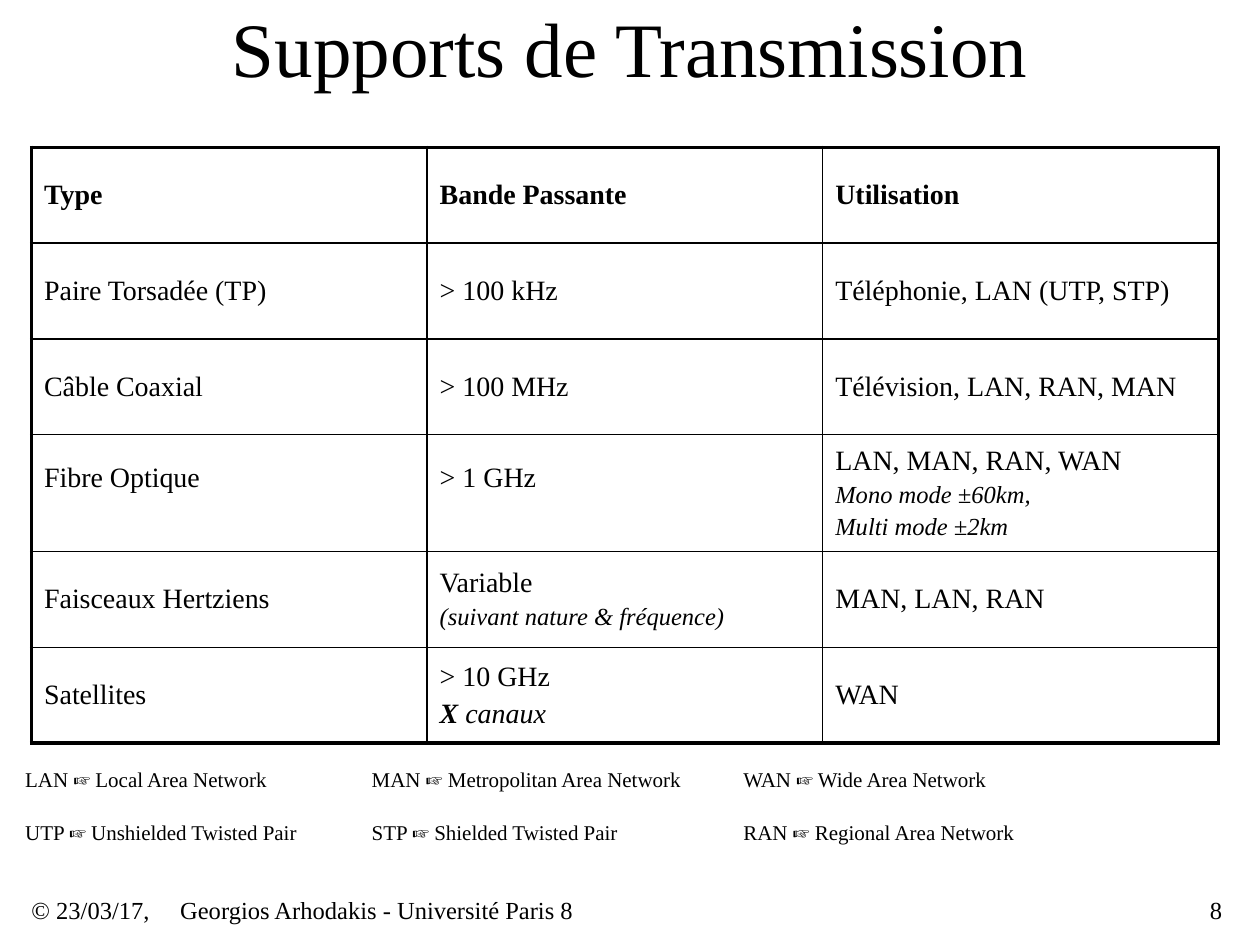
from itertools import product

from lxml.etree import SubElement
from pptx import Presentation
from pptx.dml.color import RGBColor
from pptx.enum.text import MSO_ANCHOR as Anchor, MSO_AUTO_SIZE as AutoSize, PP_ALIGN as Align
from pptx.oxml.ns import qn
from pptx.util import Inches, Pt

WIDTH, HEIGHT = Inches(10), Inches(7.5)
FONT = "Times New Roman"
BLACK = "000000"
THIN, THICK = 1, 2.25
SMALL = {"size": 14, "italic": True}

MEDIA = [
    ["Type", "Bande Passante", "Utilisation"],
    ["Paire Torsadée (TP)", "> 100 kHz", "Téléphonie, LAN (UTP, STP)"],
    ["Câble Coaxial", "> 100 MHz", "Télévision, LAN, RAN, MAN"],
    ["Fibre Optique", "> 1 GHz",
     [[("LAN, MAN, RAN, WAN", {})],
      [("Mono mode ±60km,", SMALL)],
      [("Multi mode ±2km", SMALL)]]],
    ["Faisceaux Hertziens",
     [[("Variable", {})], [("(suivant nature & fréquence)", SMALL)]],
     "MAN, LAN, RAN"],
    ["Satellites",
     [[("> 10 GHz", {})],
      [("X", {"bold": True, "italic": True}), (" canaux", {"italic": True})]],
     "WAN"],
]
FIBRE_ROW = 3

LEGEND = [
    [("LAN", "Local Area Network", 19.7), ("MAN", "Metropolitan Area Network", 24.8),
     ("WAN", "Wide Area Network", 19.7)],
    [("UTP", "Unshielded Twisted Pair", 22), ("STP", "Shielded Twisted Pair", 20.1),
     ("RAN", "Regional Area Network", 22)],
]
LEGEND_COLUMNS = [2, 29.5, 59]
LEGEND_ROWS = [81.07, 86.67]


def color(value):
    return RGBColor.from_string(value)


def across(percent):
    return int(WIDTH * percent / 100)


def down(percent):
    return int(HEIGHT * percent / 100)


def place(left, top, width, height):
    return across(left), down(top), across(width), down(height)


def add_span(para, text, size=16, bold=False, italic=False):
    span = para.add_run()
    span.text = text
    font = span.font
    font.name, font.size = FONT, Pt(size)
    font.bold, font.italic = bold, italic
    font.color.rgb = color(BLACK)


def set_margins(target, side, edge):
    target.margin_left = target.margin_right = Inches(side)
    target.margin_top = target.margin_bottom = Inches(edge)


def add_title(page, text):
    title = page.shapes.title
    title.left, title.top, title.width, title.height = place(0, 0, 100, 9.87)
    frame = title.text_frame
    frame.auto_size = AutoSize.NONE
    frame.vertical_anchor = Anchor.MIDDLE
    set_margins(frame, 0, 0)
    para = frame.paragraphs[0]
    para.alignment = Align.CENTER
    add_span(para, text, size=44)


def add_label(page, text, area, size, margins=(0, 0), align=Align.LEFT, wrap=True):
    frame = page.shapes.add_textbox(*place(*area)).text_frame
    frame.word_wrap = wrap
    frame.auto_size = AutoSize.SHAPE_TO_FIT_TEXT
    frame.vertical_anchor = Anchor.MIDDLE
    set_margins(frame, *margins)
    para = frame.paragraphs[0]
    para.alignment = align
    add_span(para, text, size=size)


def set_borders(cell, weights):
    properties = cell._tc.get_or_add_tcPr()
    for side, weight in zip("LRTB", weights):
        line = SubElement(properties, qn(f"a:ln{side}"), w=str(Pt(weight)))
        fill = SubElement(line, qn("a:solidFill"))
        SubElement(fill, qn("a:srgbClr"), val=BLACK)


def fill_cell(cell, content, header):
    if isinstance(content, str):
        content = [[(content, {"bold": header})]]
    frame = cell.text_frame
    for index, spans in enumerate(content):
        para = frame.add_paragraph() if index else frame.paragraphs[0]
        para.space_before = Pt(spans[0][1].get("size", 16) * 0.2)
        for text, style in spans:
            add_span(para, text, **style)


def add_media_table(page):
    last_row, last_column = len(MEDIA) - 1, len(MEDIA[0]) - 1
    table = page.shapes.add_table(
        len(MEDIA), len(MEDIA[0]), *place(2.5, 15.6, 94.2, 63.05)).table
    table.first_row = table.horz_banding = False
    for column in table.columns:
        column.width = across(31.4)
    for index, row in enumerate(table.rows):
        row.height = down(12.4 if index == FIBRE_ROW else 10.13)
    for r, c in product(range(last_row + 1), range(last_column + 1)):
        cell = table.cell(r, c)
        fill_cell(cell, MEDIA[r][c], header=r == 0)
        cell.vertical_anchor = Anchor.MIDDLE
        set_margins(cell, 0.1, 0.05)
        if r == FIBRE_ROW and c < last_column:
            cell.margin_bottom = Inches(0.29)
        outer = (c == 0, c == last_column, r == 0, r == last_row)
        set_borders(cell, [THICK if edge else THIN for edge in outer])
        cell.fill.background()


def add_legend(page):
    for top, entries in zip(LEGEND_ROWS, LEGEND):
        for left, (short, meaning, width) in zip(LEGEND_COLUMNS, entries):
            add_label(page, f"{short} ☞ {meaning}", (left, top, width, 2.67), 12, wrap=False)


def add_footer(page):
    for text, left, width, align in [
        ("© 23/03/17,", 2, 19.7, Align.LEFT),
        ("Georgios Arhodakis - Université Paris 8", 13.8, 51.2, Align.LEFT),
        ("8", 76.7, 20.8, Align.RIGHT),
    ]:
        add_label(page, text, (left, 94.4, width, 3.73), 14, (0.05, 0.02), align)


def main():
    deck = Presentation()
    deck.slide_width, deck.slide_height = WIDTH, HEIGHT
    page = deck.slides.add_slide(deck.slide_layouts[5])
    add_title(page, "Supports de Transmission")
    add_media_table(page)
    add_legend(page)
    add_footer(page)
    deck.save("out.pptx")


if __name__ == "__main__":
    main()
